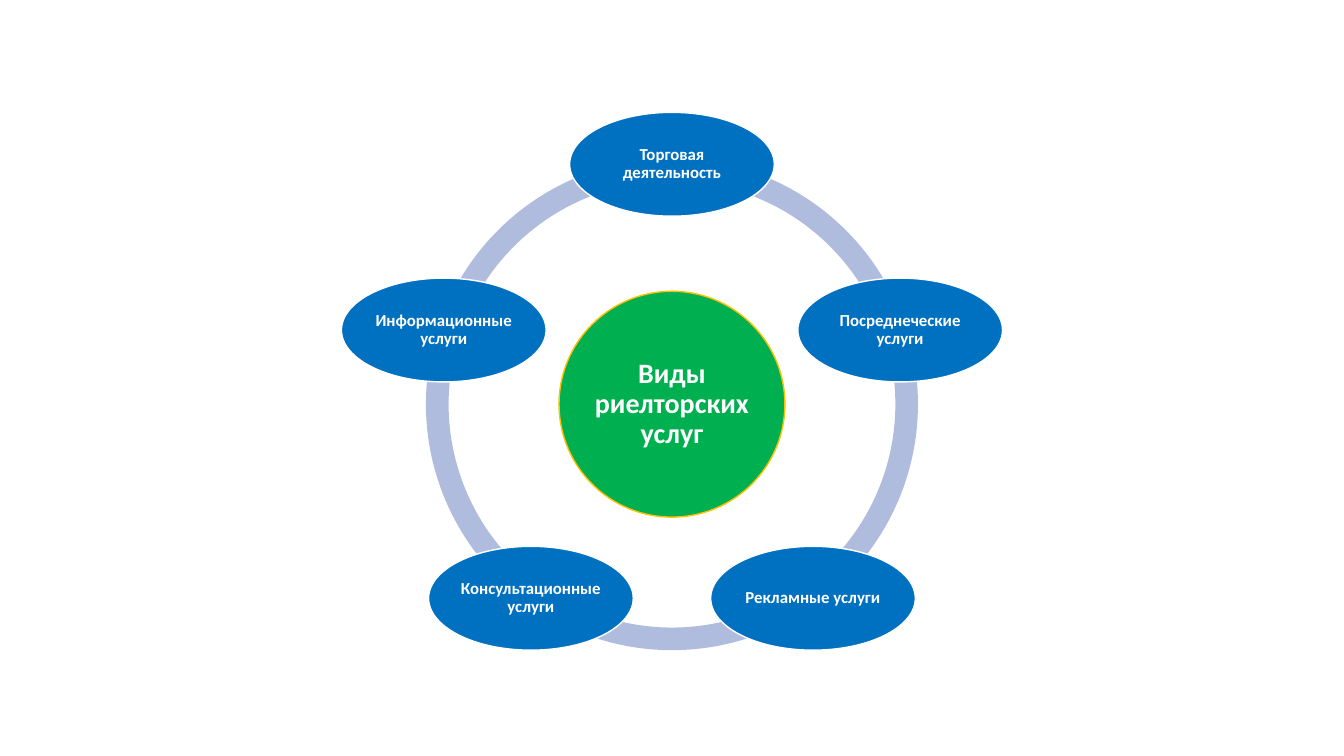
import dataclasses
import math

import pptx
import pptx.dml.color
import pptx.enum.shapes
import pptx.enum.text
import pptx.presentation
import pptx.shapes.autoshape
import pptx.slide
import pptx.util

Inches = pptx.util.Inches
KIND = pptx.enum.shapes.MSO_SHAPE
ENUM = pptx.enum.text

WIDTH, HEIGHT = 13.33, 7.5
MID_X, MID_Y = WIDTH / 2, 4.01
ORBIT = 2.38  # distance from the hub to each node
RING = 4.88  # outer width of the ring
BAND = 0.046  # ring thickness as a share of its width
ARC_UNIT = 0.6  # adjustment units per degree
WHITE, BLUE, GREEN, GOLD, LILAC = "FFFFFF", "0070C0", "00B050", "FFC000", "B0BCDE"

SERVICES = [
    "Торговая деятельность",
    "Посреднеческие услуги",
    "Рекламные услуги",
    "Консультационные услуги",
    "Информационные услуги",
]


@dataclasses.dataclass(frozen=True)
class Look:
    """Size, colours and text format shared by ovals of one kind."""
    width: float
    height: float
    fill: str
    line: str
    size: int
    inset: float


HUB = Look(2.24, 2.24, GREEN, GOLD, 20, 0)  # no inset: the long word fills the line
NODE = Look(2.03, 1.03, BLUE, WHITE, 12, 0.02)


def color(code: str) -> pptx.dml.color.RGBColor:
    """Turn a hex string into a colour."""
    return pptx.dml.color.RGBColor.from_string(code)


def apply(target: object, values: dict) -> None:
    """Set each named value on the target."""
    for name, value in values.items():
        setattr(target, name, value)


def place(slide: pptx.slide.Slide, kind: KIND, x: float, y: float,
          width: float, height: float, fill: str) -> pptx.shapes.autoshape.Shape:
    """Add a filled shape centred on x, y, without line or shadow."""
    shape = slide.shapes.add_shape(
        kind, Inches(x - width / 2), Inches(y - height / 2),
        Inches(width), Inches(height))
    shape.shadow.inherit = False
    shape.fill.solid()
    shape.fill.fore_color.rgb = color(fill)
    shape.line.fill.background()
    return shape


def arc(slide: pptx.slide.Slide, start: float, end: float) -> None:
    """Draw one ring segment between two angles in degrees."""
    shape = place(slide, KIND.BLOCK_ARC, MID_X, MID_Y, RING, RING, LILAC)
    for index, value in enumerate((start * ARC_UNIT, end * ARC_UNIT, BAND)):
        shape.adjustments[index] = value


def oval(slide: pptx.slide.Slide, x: float, y: float, text: str, look: Look) -> None:
    """Draw an outlined oval with centred bold text."""
    shape = place(slide, KIND.OVAL, x, y, look.width, look.height, look.fill)
    shape.line.color.rgb = color(look.line)
    shape.line.width = pptx.util.Pt(1)
    frame = shape.text_frame
    frame.text = text
    para = frame.paragraphs[0]
    sides = ("left", "top", "right", "bottom")
    apply(frame, {f"margin_{side}": Inches(look.inset) for side in sides})
    apply(frame, {"word_wrap": True, "vertical_anchor": ENUM.MSO_ANCHOR.MIDDLE})
    apply(para, {"alignment": ENUM.PP_ALIGN.CENTER, "line_spacing": 0.9})
    font = para.runs[0].font
    apply(font, {"name": "Calibri", "size": pptx.util.Pt(look.size), "bold": True})
    font.color.rgb = color(WHITE)


def build() -> pptx.presentation.Presentation:
    """Build the deck with the ring of services around its hub."""
    deck = pptx.Presentation()
    apply(deck, {"slide_width": Inches(WIDTH), "slide_height": Inches(HEIGHT)})
    slide = deck.slides.add_slide(deck.slide_layouts[6])
    step = 360 / len(SERVICES)
    angles = [(270 + step * index) % 360 for index in range(len(SERVICES))]
    for angle in angles:
        arc(slide, angle, (angle + step) % 360)
    oval(slide, MID_X, MID_Y, "Виды риелторских услуг", HUB)
    for angle, text in zip(angles, SERVICES):
        turn = math.radians(angle)
        oval(slide, MID_X + ORBIT * math.cos(turn),
             MID_Y + ORBIT * math.sin(turn), text, NODE)
    return deck


build().save("out.pptx")
